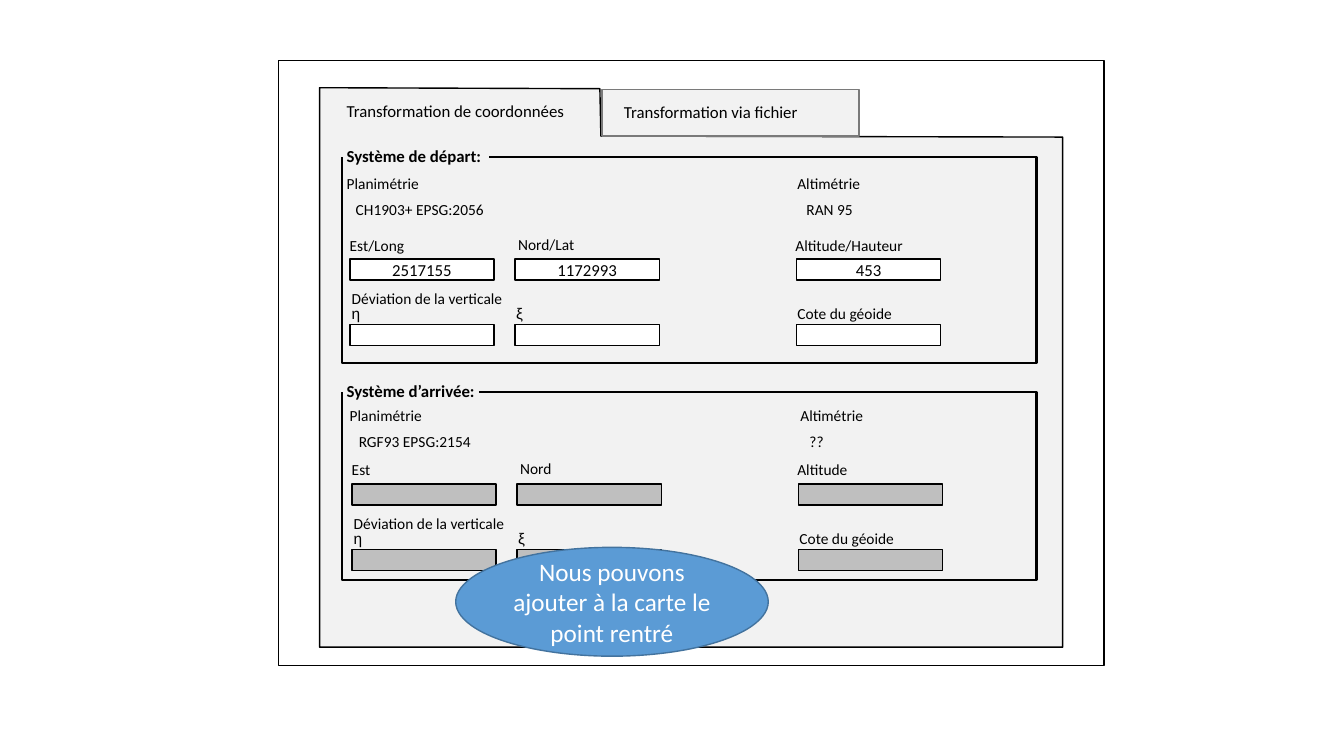
from dataclasses import dataclass

from lxml import etree
from pptx import Presentation
from pptx.dml.color import RGBColor
from pptx.enum import shapes as shp, text as txt
from pptx.oxml import ns
from pptx.util import Inches, Pt


@dataclass(frozen=True)
class Theme:
    black: str = "000000"
    white: str = "FFFFFF"
    panel: str = "F2F2F2"
    tab_edge: str = "7A7A7A"
    result: str = "BFBFBF"
    bubble: str = "5B9BD5"
    bubble_edge: str = "43739E"
    font: str = "Calibri"
    symbol_font: str = "Arial"
    label: int = 11
    heading: int = 12
    callout: int = 18


THEME = Theme()
RECT = shp.MSO_SHAPE.RECTANGLE
FIELD_SIZE = (1.43, 0.21)


def write(frame, wording, **formats):
    paragraph = frame.paragraphs[0]
    run = paragraph.add_run()
    run.text = wording
    values = {"name": THEME.font, "size": THEME.label, "bold": False, "color": THEME.black}
    values.update(formats)
    run.font.color.rgb = RGBColor.from_string(values.pop("color"))
    values["size"] = Pt(values["size"])
    for key, value in values.items():
        setattr(run.font, key, value)
    return paragraph


def paint(shape, fill, edge=THEME.black, weight=1):
    shape.shadow.inherit = False
    if fill:
        shape.fill.solid()
        shape.fill.fore_color.rgb = RGBColor.from_string(fill)
    else:
        shape.fill.background()
    shape.line.color.rgb = RGBColor.from_string(edge)
    shape.line.width = Pt(weight)


def add_label(slide, x, y, width, wording, **formats):
    height = 0.3 if formats.get("size") == THEME.heading else 0.29
    box = slide.shapes.add_textbox(*map(Inches, (x, y, width, height)))
    frame = box.text_frame
    frame.word_wrap = False
    frame.auto_size = txt.MSO_AUTO_SIZE.SHAPE_TO_FIT_TEXT
    write(frame, wording, **formats)


def add_block(slide, kind, box, fill, edge=THEME.black, wording="", **formats):
    block = slide.shapes.add_shape(kind, *map(Inches, box))
    paint(block, fill, edge)
    if wording:
        frame = block.text_frame
        frame.word_wrap = True
        frame.vertical_anchor = txt.MSO_ANCHOR.MIDDLE
        write(frame, wording, **formats).alignment = txt.PP_ALIGN.CENTER


def add_outline(slide, points, fill=None, weight=1, close=True):
    corners = [(Inches(x), Inches(y)) for x, y in points]
    builder = slide.shapes.build_freeform(*corners[0])
    builder.add_line_segments(corners[1:], close=close)
    outline = builder.convert_to_shape()
    paint(outline, fill, weight=weight)
    if not close:
        path = outline.element.find(".//" + ns.qn("a:path"))
        path.set("fill", "none")


def add_window(slide, box):
    """Window, tabbed panel and the two tab names."""
    x, y, width, height = box
    add_block(slide, RECT, box, THEME.white)
    left, right = x + 0.41, x + width - 0.41
    top, bottom = y + 0.27, y + height - 0.18
    tab_right, tab_bottom = x + 3.2, y + 0.76
    add_outline(slide, [(tab_right - 0.01, top + 0.01), (tab_right, tab_bottom - 0.01),
                        (right, tab_bottom), (right, bottom), (left, bottom), (left, top)],
                THEME.panel)
    add_block(slide, RECT, (x + 3.21, y + 0.29, 2.55, 0.46), THEME.panel, THEME.tab_edge)
    add_label(slide, x + 0.58, y + 0.35, 2.38, "Transformation de coordonnées", size=THEME.heading)
    add_label(slide, x + 3.33, y + 0.36, 1.94, "Transformation via fichier", size=THEME.heading)


def add_system(slide, box, system):
    """Framed group: heading, reference systems and two rows of fields."""
    x, y, width, height = box
    right, bottom = x + width, y + height

    # Frame, open behind the heading
    add_outline(slide, [(x + system["gap"], y), (right, y), (right, bottom), (x, bottom), (x, y)],
                weight=1.5, close=False)
    wording, title_width = system["title"]
    add_label(slide, x - 0.05, y - 0.165, title_width, wording, size=THEME.heading, bold=True)

    # Reference systems
    head_x, head_y = x + system["head_shift"], y + system["head_y"]
    add_label(slide, head_x - 0.05, head_y, 0.92, "Planimétrie")
    add_label(slide, head_x + 4.42, head_y, 0.83, "Altimétrie")
    for offset, (wording, label_width) in zip((0.04, 4.51), system["references"]):
        add_label(slide, head_x + offset, head_y + 0.26, label_width, wording)

    # Coordinates
    entry_x, entry_y = x + system["entry_shift"], y + system["entry_y"]
    lower_y = entry_y + 0.65
    for offset, rise, (wording, label_width) in zip((-0.02, 1.65, 4.4), (0.28, 0.29, 0.28),
                                                    system["names"]):
        add_label(slide, entry_x + offset, entry_y - rise, label_width, wording)
    for offset, value in zip((0.08, 1.72, 4.51), system["values"]):
        add_block(slide, RECT, (entry_x + offset, entry_y, *FIELD_SIZE), system["fill"],
                  wording=value, size=THEME.heading)
        add_block(slide, RECT, (entry_x + offset, lower_y, *FIELD_SIZE), system["fill"])

    # Vertical deviation and geoid height
    add_label(slide, entry_x, lower_y - 0.4, 1.71, "Déviation de la verticale")
    add_label(slide, entry_x, lower_y - 0.25, 0.29, "η", name=THEME.symbol_font)
    add_label(slide, entry_x + 1.63, lower_y - 0.25, 0.28, "ξ", name=THEME.symbol_font)
    add_label(slide, entry_x + 4.42, lower_y - 0.25, 1.15, "Cote du géoide")


def add_callout(slide, box):
    add_block(slide, shp.MSO_SHAPE.OVAL, box, THEME.bubble, THEME.bubble_edge,
              "Nous pouvons ajouter à la carte le point rentré",
              size=THEME.callout, color=THEME.white)


DEPARTURE = {
    "title": ("Système de départ:", 1.55), "gap": 1.46,
    "head_shift": 0, "head_y": 0.12, "entry_shift": 0, "entry_y": 1.01,
    "references": [("CH1903+ EPSG:2056", 1.48), ("RAN 95", 0.67)],
    "names": [("Est/Long", 0.75), ("Nord/Lat", 0.77), ("Altitude/Hauteur", 1.27)],
    "values": ["2517155", "1172993", "453"], "fill": THEME.white,
}
ARRIVAL = {
    "title": ("Système d’arrivée:", 1.48), "gap": 1.36,
    "head_shift": 0.03, "head_y": 0.09, "entry_shift": 0.02, "entry_y": 0.91,
    "references": [("RGF93 EPSG:2154", 1.32), ("??", 0.35)],
    "names": [("Est", 0.39), ("Nord", 0.52), ("Altitude", 0.7)],
    "values": ["", "", ""], "fill": THEME.result,
}


def main():
    deck = Presentation()
    deck.slide_width, deck.slide_height = Inches(13.33), Inches(7.5)
    slide = deck.slides.add_slide(deck.slide_layouts[6])
    add_window(slide, (2.76, 0.6, 8.19, 6))
    add_system(slide, (3.39, 1.56, 6.89, 2.04), DEPARTURE)
    add_system(slide, (3.39, 3.89, 6.89, 1.86), ARRIVAL)
    add_callout(slide, (4.52, 5.43, 3.1, 1.08))
    deck.save("out.pptx")


if __name__ == "__main__":
    main()
